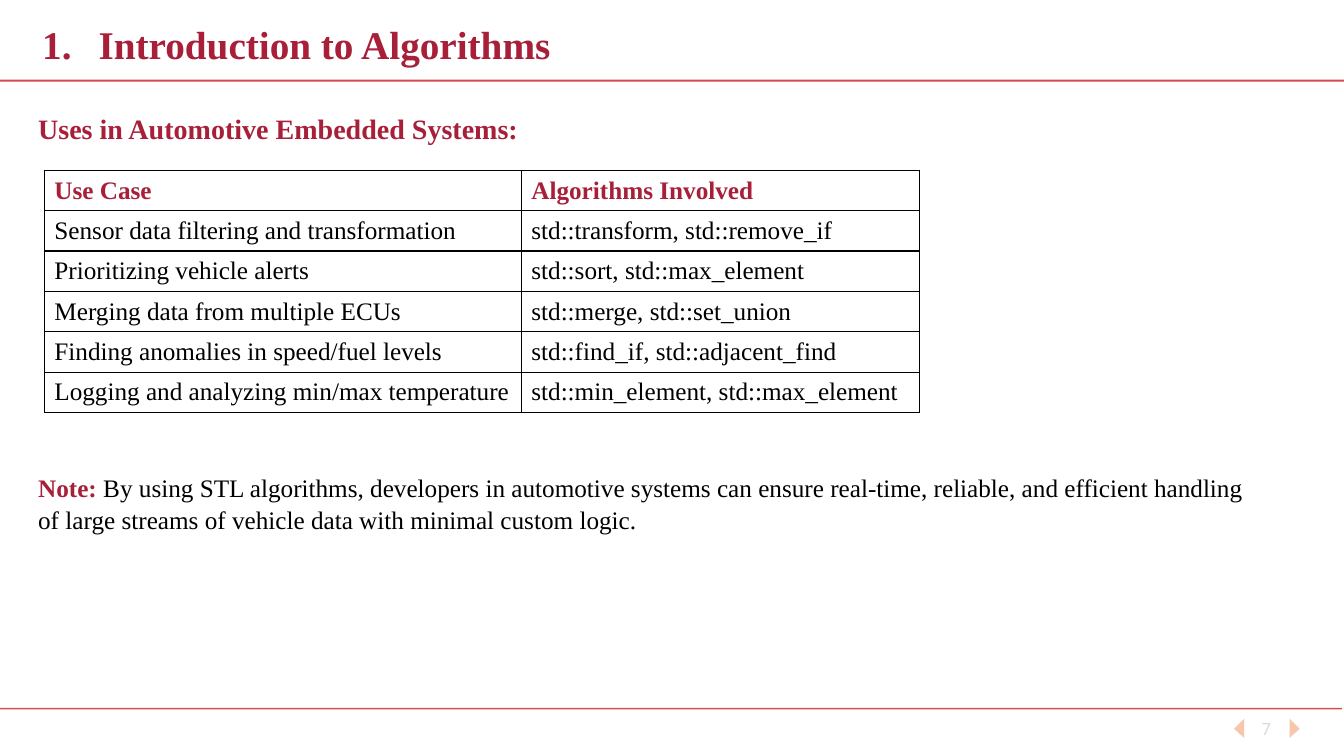
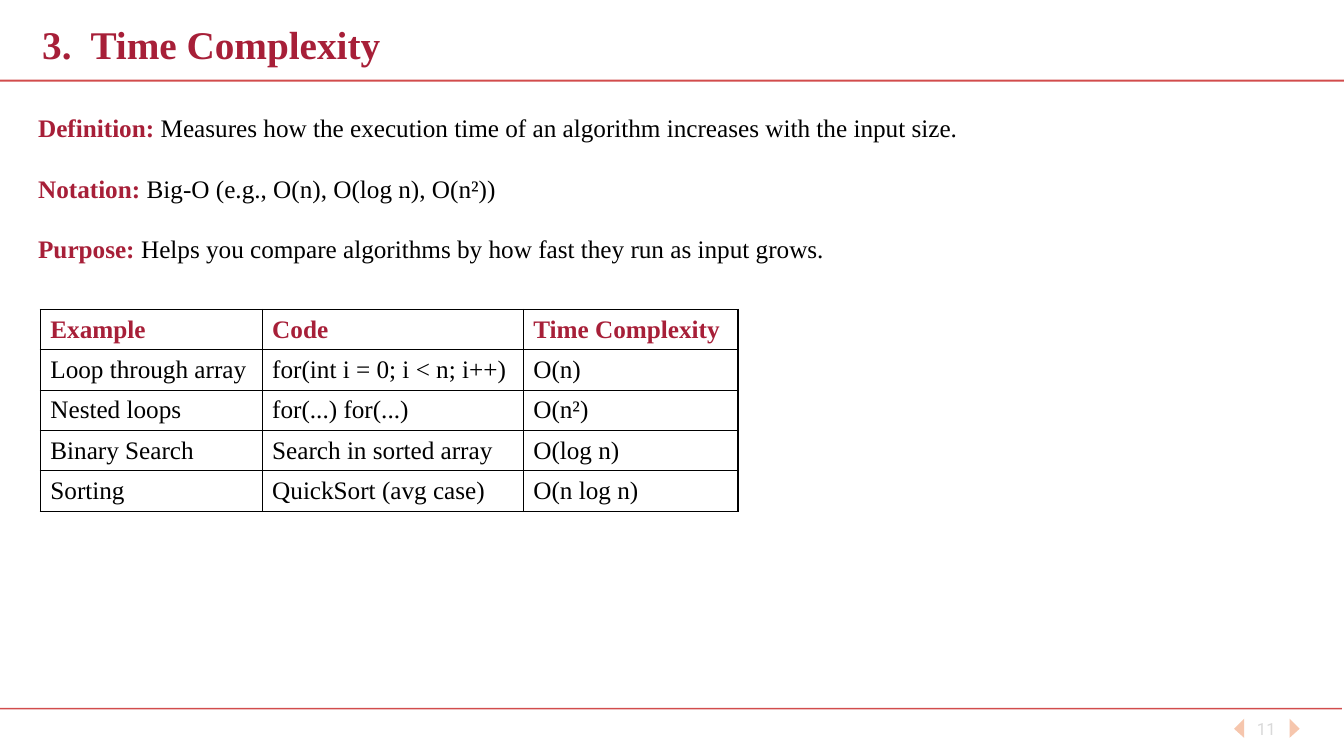
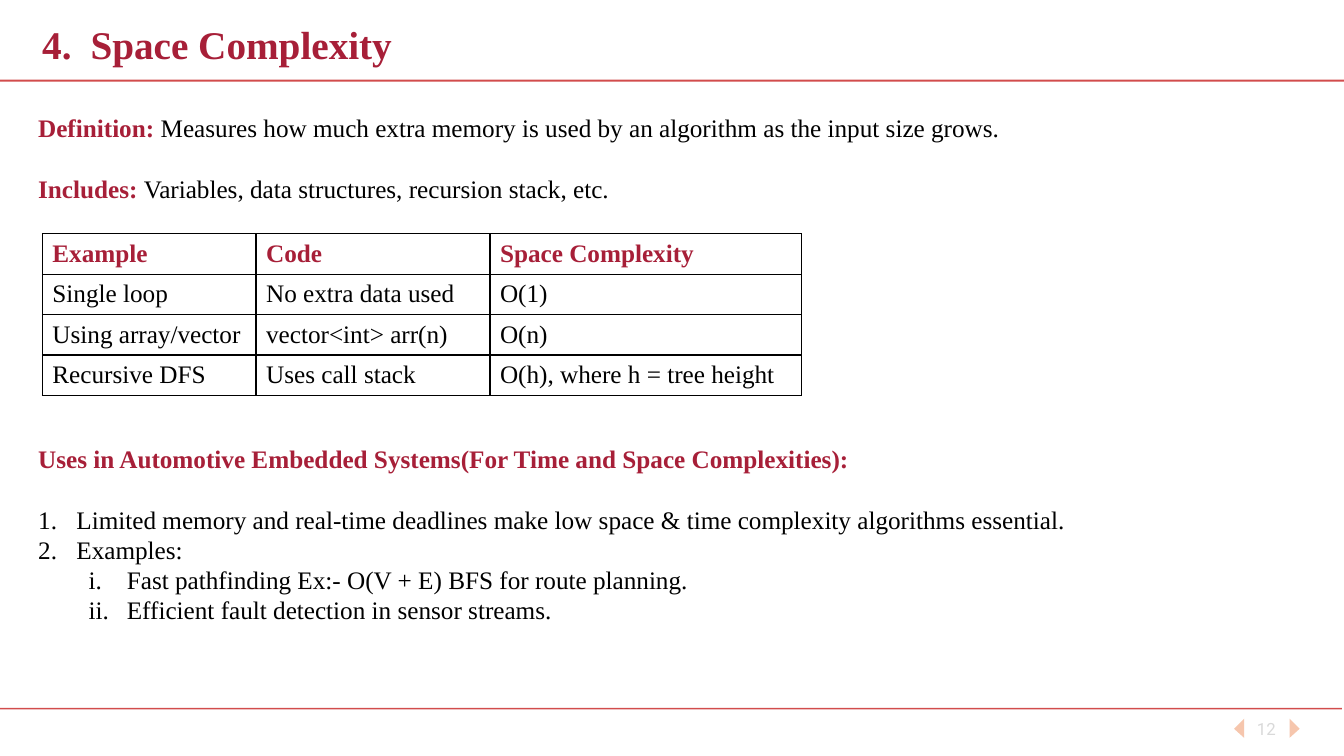
"""Build three slides on algorithms and their time and space complexity."""
from lxml import etree
from pptx import Presentation
from pptx.dml.color import RGBColor
from pptx.enum.shapes import MSO_CONNECTOR as Connector
from pptx.enum.text import MSO_ANCHOR as Anchor, PP_ALIGN as Align
from pptx.oxml.ns import qn
from pptx.util import Pt

PX = 9144
CRIMSON, BLACK, RULE, ARROW, GREY = "A71F38", "000000", "C00000", "F6C6AD", "D9D9D9"
SERIF = "Times New Roman"
ROW_HEIGHT = 40
RULES = [(80, 1333, 1.5), (703, 1331, 1)]
ARROWS = [[(1279, 713), (1289, 723), (1279, 732)], [(1234, 732), (1224, 723), (1234, 713)]]


def style(font, color, size, bold=False, name=SERIF):
    """Set the face, size, weight and hex colour of a font."""
    font.name, font.size, font.bold = name, Pt(size), bold
    font.color.rgb = RGBColor.from_string(color)


def number(paragraph, scheme, start, left, hanging):
    """Number a paragraph automatically with a hanging indent."""
    properties = paragraph._p.get_or_add_pPr()
    properties.set("marL", str(left * PX))
    properties.set("indent", str(-hanging * PX))
    etree.SubElement(properties, qn("a:buFont"), typeface="+mj-lt")
    etree.SubElement(properties, qn("a:buAutoNum"), type=scheme, startAt=str(start))


SLIDES = [
    {
        "page": 7,
        "title": (1, "Introduction to Algorithms", 56),
        "pitch": 23.2,
        "body": [
            ("Uses in Automotive Embedded Systems:", "", 20, 0, None),
            ("Note: ", "By using STL algorithms, developers in automotive systems can ensure "
             "real-time, reliable, and efficient handling of large streams of vehicle data "
             "with minimal custom logic.", 18, 10, None),
        ],
        "table_at": (44, 169),
        "columns": [473, 395],
        "rows": [
            ("Use Case", "Algorithms Involved"),
            ("Sensor data filtering and transformation", "std::transform, std::remove_if"),
            ("Prioritizing vehicle alerts", "std::sort, std::max_element"),
            ("Merging data from multiple ECUs", "std::merge, std::set_union"),
            ("Finding anomalies in speed/fuel levels", "std::find_if, std::adjacent_find"),
            ("Logging and analyzing min/max temperature", "std::min_element, std::max_element"),
        ],
    },
    {
        "page": 11,
        "title": (3, "Time Complexity", 48),
        "pitch": 21.5,
        "body": [
            ("Definition: ", "Measures how the execution time of an algorithm increases "
             "with the input size.", 18, 0, None),
            ("Notation: ", "Big-O (e.g., O(n), O(log n), O(n²))", 18, 1, None),
            ("Purpose: ", "Helps you compare algorithms by how fast they run as input grows.",
             18, 1, None),
        ],
        "table_at": (40, 307),
        "columns": [220, 259, 213],
        "rows": [
            ("Example", "Code", "Time Complexity"),
            ("Loop through array", "for(int i = 0; i < n; i++)", "O(n)"),
            ("Nested loops", "for(...) for(...)", "O(n²)"),
            ("Binary Search", "Search in sorted array", "O(log n)"),
            ("Sorting", "QuickSort (avg case)", "O(n log n)"),
        ],
    },
    {
        "page": 12,
        "title": (4, "Space Complexity", 48),
        "pitch": 21.5,
        "body": [
            ("Definition: ", "Measures how much extra memory is used by an algorithm "
             "as the input size grows.", 18, 0, None),
            ("Includes: ", "Variables, data structures, recursion stack, etc.", 18, 1, None),
            ("Uses in Automotive Embedded Systems(For Time and Space Complexities):", "",
             18, 8, None),
            ("", "Limited memory and real-time deadlines make low space & time complexity "
             "algorithms essential.", 18, 1, ("arabicPeriod", 1, 38, 38)),
            ("", "Examples:", 18, 0, ("arabicPeriod", 1, 38, 38)),
            ("", "Fast pathfinding Ex:- O(V + E) BFS for route planning.", 18, 0,
             ("romanLcPeriod", 1, 88, 38)),
            ("", "Efficient fault detection in sensor streams.", 18, 0,
             ("romanLcPeriod", 1, 88, 38)),
        ],
        "table_at": (42, 232),
        "columns": [212, 232, 309],
        "rows": [
            ("Example", "Code", "Space Complexity"),
            ("Single loop", "No extra data used", "O(1)"),
            ("Using array/vector", "vector<int> arr(n)", "O(n)"),
            ("Recursive DFS", "Uses call stack", "O(h), where h = tree height"),
        ],
    },
]

presentation = Presentation()
presentation.slide_width, presentation.slide_height = 1333 * PX, 750 * PX

for content in SLIDES:
    slide = presentation.slides.add_slide(presentation.slide_layouts[6])
    shapes = slide.shapes

    for y, right, weight in RULES:
        rule = shapes.add_connector(Connector.STRAIGHT, 0, y * PX, right * PX, y * PX)
        rule.line.width = Pt(weight)
        rule.line.color.rgb = RGBColor.from_string(RULE)
        properties = rule._element.spPr
        etree.SubElement(properties.find(".//" + qn("a:srgbClr")), qn("a:alpha"), val="70000")
        etree.SubElement(properties, qn("a:effectLst"))

    for start, *others in ARROWS:
        builder = shapes.build_freeform(*start, scale=PX)
        builder.add_line_segments(others, close=True)
        arrow = builder.convert_to_shape()
        arrow.shadow.inherit = False
        arrow.fill.solid()
        arrow.fill.fore_color.rgb = RGBColor.from_string(ARROW)
        arrow.line.fill.background()

    page_frame = shapes.add_textbox(1228 * PX, 703 * PX, 56 * PX, 40 * PX).text_frame
    page_frame.word_wrap = True
    page_frame.vertical_anchor = Anchor.MIDDLE
    paragraph = page_frame.paragraphs[0]
    paragraph.text = str(content["page"])
    paragraph.alignment = Align.CENTER
    style(paragraph.font, GREY, 12, name="Roboto")

    title_frame = shapes.add_textbox(32 * PX, 15 * PX, 1232 * PX, 57 * PX).text_frame
    title_frame.word_wrap = True
    paragraph = title_frame.paragraphs[0]
    start, title, indent = content["title"]
    run = paragraph.add_run()
    run.text = title
    style(run.font, CRIMSON, 28, True)
    number(paragraph, "arabicPeriod", start, indent, indent)

    body_frame = shapes.add_textbox(28 * PX, 107 * PX, 1235 * PX, 555 * PX).text_frame
    body_frame.word_wrap = True
    for index, (label, text, size, blank_lines, numbering) in enumerate(content["body"]):
        paragraph = body_frame.add_paragraph() if index else body_frame.paragraphs[0]
        paragraph.line_spacing = Pt(content["pitch"])
        paragraph.space_before = Pt(blank_lines * content["pitch"])
        for part, color, bold in ((label, CRIMSON, True), (text, BLACK, False)):
            if part:
                run = paragraph.add_run()
                run.text = part
                style(run.font, color, size, bold)
        if numbering:
            paragraph.level = int(numbering[0] == "romanLcPeriod")
            number(paragraph, *numbering)

    left, top = content["table_at"]
    columns, rows = content["columns"], content["rows"]
    table = shapes.add_table(len(rows), len(columns), left * PX, top * PX,
                             sum(columns) * PX, len(rows) * ROW_HEIGHT * PX).table
    for column, width in zip(table.columns, columns):
        column.width = width * PX
    for row_index, row in enumerate(rows):
        for column_index, text in enumerate(row):
            cell = table.cell(row_index, column_index)
            cell.vertical_anchor = Anchor.MIDDLE
            cell.fill.background()
            paragraph = cell.text_frame.paragraphs[0]
            paragraph.text = text
            header = row_index == 0
            style(paragraph.font, CRIMSON if header else BLACK, 18, header)
            cell_properties = cell._tc.get_or_add_tcPr()
            for position, side in enumerate(("lnL", "lnR", "lnT", "lnB")):
                border = etree.Element(qn("a:" + side), w=str(Pt(1)))
                fill = etree.SubElement(border, qn("a:solidFill"))
                etree.SubElement(fill, qn("a:srgbClr"), val=BLACK)
                cell_properties.insert(position, border)

presentation.save("out.pptx")
